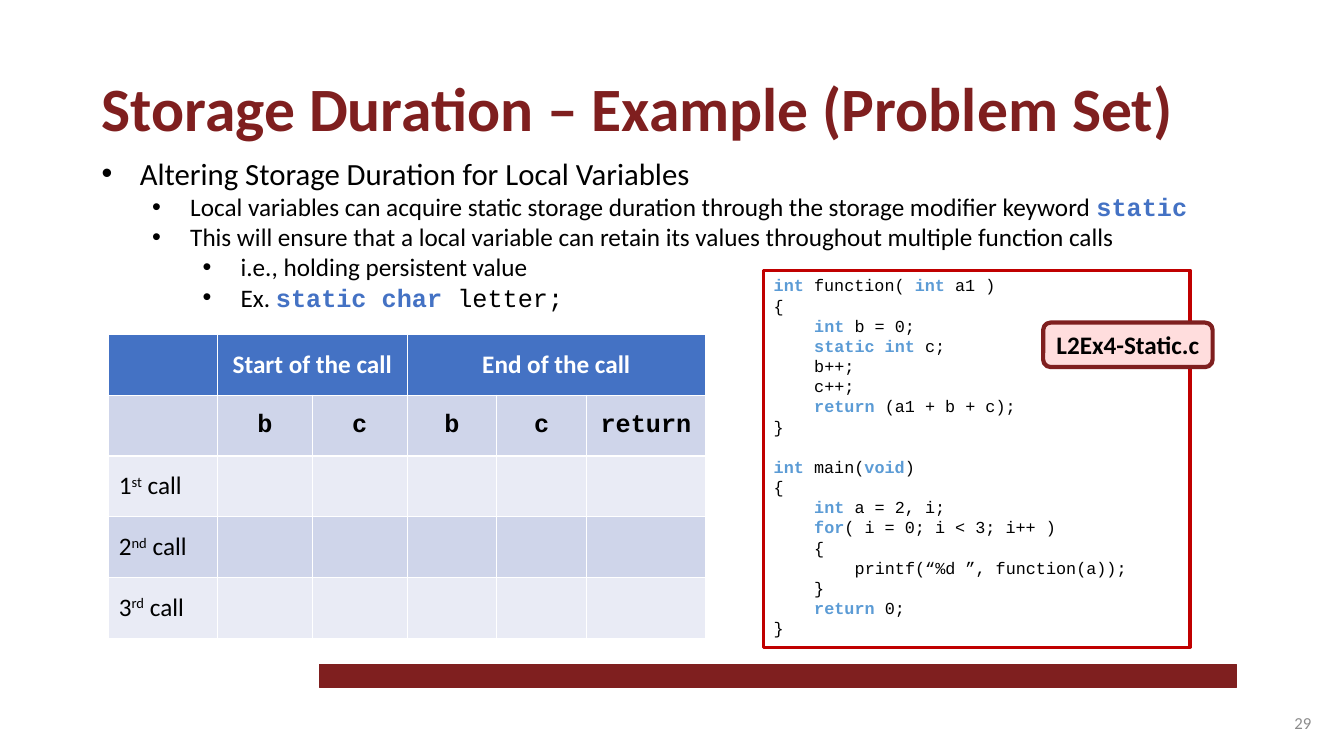
"""Build the slide on storage duration with its code sample and call table."""
from dataclasses import dataclass
from itertools import cycle

from lxml.etree import SubElement
from pptx import Presentation
from pptx.dml.color import RGBColor
from pptx.enum.shapes import MSO_SHAPE
from pptx.enum.text import MSO_ANCHOR, MSO_AUTO_SIZE, PP_ALIGN
from pptx.oxml.ns import qn
from pptx.util import Cm, Pt


@dataclass(frozen=True)
class Theme:
    maroon: str = "7F1F1F"
    red: str = "C00000"
    pink: str = "FFDDDD"
    blue: str = "4472C4"
    sky: str = "5B9BD5"
    dark: str = "CFD5EA"
    light: str = "E9EBF5"
    gray: str = "8C8C8C"
    black: str = "000000"
    white: str = "FFFFFF"
    sans: str = "Calibri"
    mono: str = "Courier New"
    head: int = 44
    lead: int = 22
    main: int = 18
    small: int = 12


def write(par, text, font=Theme.sans, size=Theme.main, color=Theme.black,
          bold=False, base=None):
    run = par.add_run()
    run.text = text
    run.font.name, run.font.size, run.font.bold = font, Pt(size), bold
    run.font.color.rgb = RGBColor.from_string(color)
    if base:
        run.font._element.set("baseline", str(base))


def mix(par, text, *looks):
    for part, look in zip(text.split("|"), cycle(looks)):
        if part:
            write(par, part, **look)


def lines(frame, count):
    return [frame.paragraphs[0]] + [frame.add_paragraph() for _ in range(count - 1)]


def indent(par, left, hang=0):
    props = par._p.get_or_add_pPr()
    props.set("marL", str(Cm(left)))
    props.set("indent", str(-Cm(hang)))
    return props


class Board:
    def __init__(self, deck, theme):
        self.theme = theme
        self.slide = deck.slides.add_slide(deck.slide_layouts[1])

    def place(self, index, box):
        holder = self.slide.placeholders[index]
        holder.left, holder.top, holder.width, holder.height = map(Cm, box)
        frame = holder.text_frame
        frame.word_wrap, frame.auto_size = True, MSO_AUTO_SIZE.NONE
        frame.vertical_anchor = MSO_ANCHOR.TOP
        return frame

    def title(self, text, box):
        par = self.place(0, box).paragraphs[0]
        par.alignment = PP_ALIGN.LEFT
        write(par, text, size=self.theme.head, color=self.theme.maroon, bold=True)

    def bullets(self, items, box):
        look = self.theme
        for par, (level, text) in zip(lines(self.place(1, box), len(items)), items):
            size = look.main if level else look.lead
            par.level, par.line_spacing = level, 1.0
            par.space_before = par.space_after = Pt(0)
            props = indent(par, 0.96 + 1.27 * level, 0.96)
            SubElement(props, qn("a:buFont")).set("typeface", "Arial")
            SubElement(props, qn("a:buChar")).set("char", "•")
            mix(par, text, dict(size=size),
                dict(font=look.mono, color=look.blue, bold=True), dict(font=look.mono))

    def panel(self, box, fill, edge, width, kind=MSO_SHAPE.RECTANGLE):
        shape = self.slide.shapes.add_shape(kind, *map(Cm, box))
        shape.shadow.inherit = False
        shape.fill.solid()
        shape.fill.fore_color.rgb = RGBColor.from_string(fill)
        shape.line.color.rgb = RGBColor.from_string(edge)
        shape.line.width = Pt(width)
        return shape.text_frame

    def code(self, items, box):
        look = self.theme
        frame = self.panel(box, look.white, look.red, 2.25)
        frame.word_wrap, frame.vertical_anchor = True, MSO_ANCHOR.TOP
        plain = dict(font=look.mono, size=look.small)
        key = dict(plain, color=look.sky, bold=True)
        for par, (depth, text) in zip(lines(frame, len(items)), items):
            par.alignment, par.line_spacing = PP_ALIGN.LEFT, 1.0
            indent(par, 1.02 * depth)
            if "main(" in text:
                par.space_before = Pt(14.4)
            mix(par, text, plain, key)

    def tag(self, text, box):
        look = self.theme
        frame = self.panel(box, look.pink, look.maroon, 3, MSO_SHAPE.ROUNDED_RECTANGLE)
        frame.word_wrap, frame.vertical_anchor = False, MSO_ANCHOR.MIDDLE
        frame.paragraphs[0].alignment = PP_ALIGN.CENTER
        write(frame.paragraphs[0], text, bold=True)

    def page(self, text, box):
        frame = self.slide.shapes.add_textbox(*map(Cm, box)).text_frame
        frame.word_wrap, frame.vertical_anchor = True, MSO_ANCHOR.MIDDLE
        frame.paragraphs[0].alignment = PP_ALIGN.RIGHT
        write(frame.paragraphs[0], text, size=self.theme.small, color=self.theme.gray)

    def table(self, rows, widths, spans, left, top, step):
        look = self.theme
        grid = self.slide.shapes.add_table(
            len(rows), len(widths), Cm(left), Cm(top),
            Cm(sum(widths)), Cm(step * len(rows))).table
        for col, width in zip(grid.columns, widths):
            col.width = Cm(width)
        for first, last in spans:
            grid.cell(0, first).merge(grid.cell(0, last))
        plain = dict(size=look.main)
        heads = [dict(color=look.white, bold=True), dict(font=look.mono, bold=True)]
        for r, row in enumerate(rows):
            grid.rows[r].height = Cm(step)
            shade = look.blue if r == 0 else (look.light, look.dark)[r % 2]
            for c in range(len(widths)):
                cell = grid.cell(r, c)
                cell.fill.solid()
                cell.fill.fore_color.rgb = RGBColor.from_string(shade)
                cell.vertical_anchor = MSO_ANCHOR.MIDDLE
                text = row.get(c)
                if text:
                    par = cell.text_frame.paragraphs[0]
                    par.alignment = PP_ALIGN.CENTER if r < 2 else PP_ALIGN.LEFT
                    looks = [heads[r]] if r < 2 else [plain, dict(plain, base=30000)]
                    mix(par, text, *looks)


def main():
    deck = Presentation()
    deck.slide_width, deck.slide_height = Cm(33.87), Cm(19.05)
    theme = Theme()
    board = Board(deck, theme)
    board.panel((8.05, 16.74, 23.11, 0.58), theme.maroon, theme.maroon, 1)
    board.title("Storage Duration – Example (Problem Set)", (2.31, 1.63, 27.69, 2.13))
    board.bullets([
        (0, "Altering Storage Duration for Local Variables"),
        (1, "Local variables can acquire static storage duration through "
            "the storage modifier keyword |static"),
        (1, "This will ensure that a local variable can retain its values "
            "throughout multiple function calls"),
        (2, "i.e., holding persistent value"),
        (2, "Ex. |static char| letter;"),
    ], (2.31, 3.76, 28.83, 4.27))
    board.page("29", (25.68, 17.7, 7.62, 1.02))
    board.code([
        (0, "|int| function( |int| a1 )"),
        (0, "{"),
        (1, "|int| b = 0;"),
        (1, "|static int| c;"),
        (1, "b++;"),
        (1, "c++;"),
        (1, "|return| (a1 + b + c);"),
        (0, "}"),
        (0, "|int| main(|void|)"),
        (0, "{"),
        (1, "|int| a = 2, i;"),
        (1, "|for|( i = 0; i < 3; i++ )"),
        (1, "{"),
        (2, "printf(“%d ”, function(a));"),
        (1, "}"),
        (1, "|return| 0;"),
        (0, "}"),
    ], (19.25, 6.81, 10.74, 9.5))
    board.tag("L2Ex4-Static.c", (26.29, 8.13, 4.27, 1.12))
    calls = [{0: f"{mark} call"} for mark in ("1|st|", "2|nd|", "3|rd|")]
    board.table([
        {1: "Start of the call", 3: "End of the call"},
        dict(enumerate(("b", "c", "b", "c", "return"), 1)),
        *calls,
    ], (2.74, 2.39, 2.39, 2.26, 2.26, 3), ((1, 2), (3, 5)), 2.74, 8.43, 1.53)
    deck.save("out.pptx")


if __name__ == "__main__":
    main()
